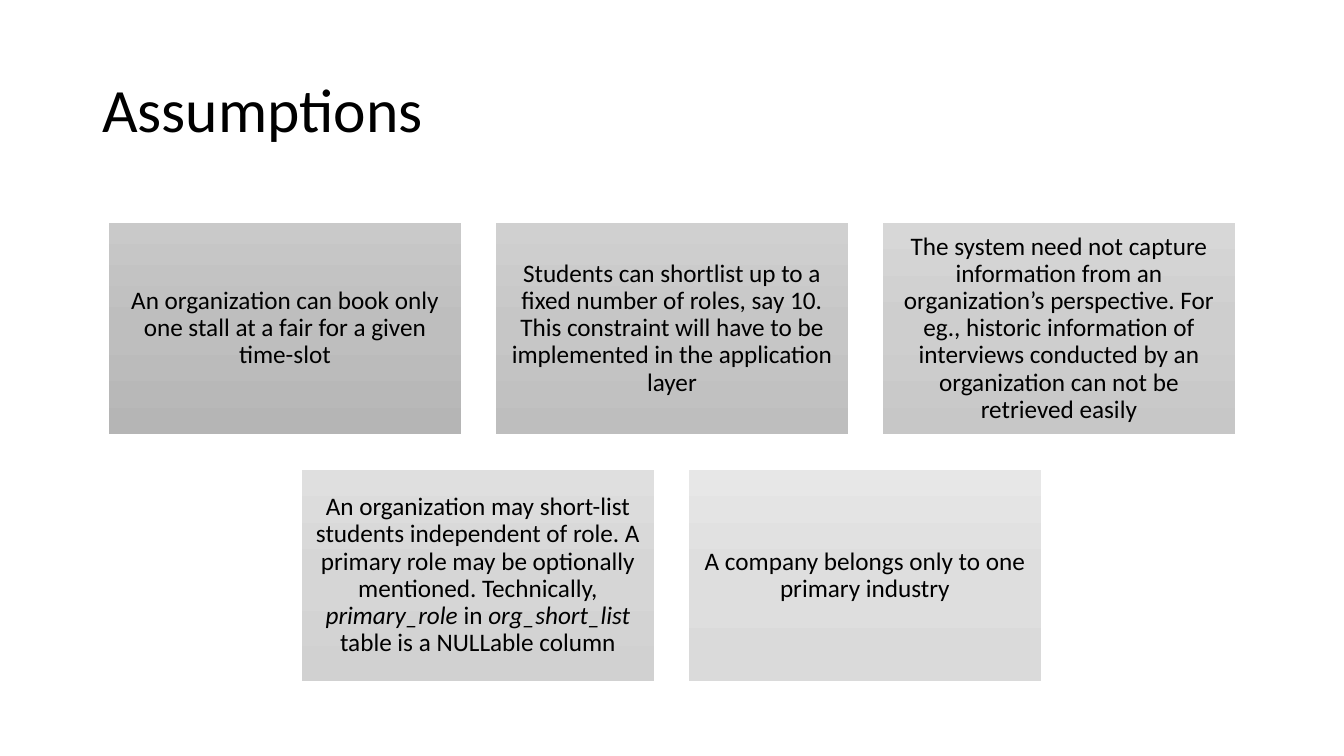
from copy import deepcopy
from pptx import Presentation
from pptx import util as u
from pptx.dml import color
from pptx.enum import shapes, text

SCALE = 914400 / 100.8
FONT = "Calibri"
COLORS = {
    "text": "000000",
    "cards": [
        ("C9C9C9", "BEBEBE", "B5B5B5"),
        ("D0D0D0", "C6C6C6", "BEBEBE"),
        ("D7D7D7", "CECECE", "C7C7C7"),
        ("DFDFDF", "D6D6D6", "D1D1D1"),
        ("E7E7E7", "DEDEDE", "DADADA"),
    ],
}
ROWS = [
    [
        [("An organization can book only one stall at a fair for a given time-slot", False)],
        [("Students can shortlist up to a fixed number of roles, say 10. This constraint "
          "will have to be implemented in the application layer", False)],
        [("The system need not capture information from an organization’s perspective. "
          "For eg., historic information of interviews conducted by an organization "
          "can not be retrieved easily", False)],
    ],
    [
        [("An organization may short-list students independent of role. A primary role "
          "may be optionally mentioned. Technically, ", False),
         ("primary_role", True), (" in ", False), ("org_short_list", True),
         (" table is a NULLable column", False)],
        [("A company belongs only to one primary industry", False)],
    ],
]


def px(n):
    return u.Emu(round(n * SCALE))


def place(shape, box):
    shape.left, shape.top, shape.width, shape.height = map(px, box)


def write(frame, runs, size, align):
    frame.word_wrap = True
    frame.auto_size = text.MSO_AUTO_SIZE.NONE
    frame.vertical_anchor = text.MSO_ANCHOR.MIDDLE
    para = frame.paragraphs[0]
    para.alignment = align
    para.line_spacing = 0.9
    for words, slant in runs:
        run = para.add_run()
        run.text = words
        run.font.name = FONT
        run.font.size = u.Pt(size)
        run.font.italic = slant
        run.font.color.rgb = color.RGBColor.from_string(COLORS["text"])


def shade(shape, tones):
    fill = shape.fill
    fill.gradient()
    fill.gradient_angle = 270
    first = shape._element.spPr.xpath("./a:gradFill/a:gsLst/a:gs")[0]
    first.addnext(deepcopy(first))
    for stop, spot, tone in zip(fill.gradient_stops, (0, 0.5, 1), tones):
        stop.position = spot
        stop.color.rgb = color.RGBColor.from_string(tone)


def add_title(slide, box):
    title = slide.shapes.title
    place(title, box)
    write(title.text_frame, [("Assumptions", False)], 44, text.PP_ALIGN.LEFT)


def add_card(slide, box, runs, tones):
    card = slide.shapes.add_shape(shapes.MSO_SHAPE.RECTANGLE, *map(px, box))
    card.shadow.inherit = False
    card.line.fill.background()
    shade(card, tones)
    frame = card.text_frame
    frame.margin_left = frame.margin_right = px(7)
    frame.margin_top = frame.margin_bottom = px(7)
    write(frame, runs, 18, text.PP_ALIGN.CENTER)


def add_grid(slide, box, wide=352, high=211):
    left, top, width, height = box
    most = max(map(len, ROWS))
    across = (width - wide) // (most - 1)
    down = (height - high) // (len(ROWS) - 1)
    tones = iter(COLORS["cards"])
    for r, row in enumerate(ROWS):
        start = left + (most - len(row)) * across // 2
        for c, runs in enumerate(row):
            spot = (start + c * across, top + r * down, wide, high)
            add_card(slide, spot, runs, next(tones))


deck = Presentation()
deck.slide_width, deck.slide_height = px(1344), px(756)
slide = deck.slides.add_slide(deck.slide_layouts[5])
add_title(slide, (92, 40, 1160, 146))
add_grid(slide, (109, 223, 1126, 458))
deck.save("out.pptx")
